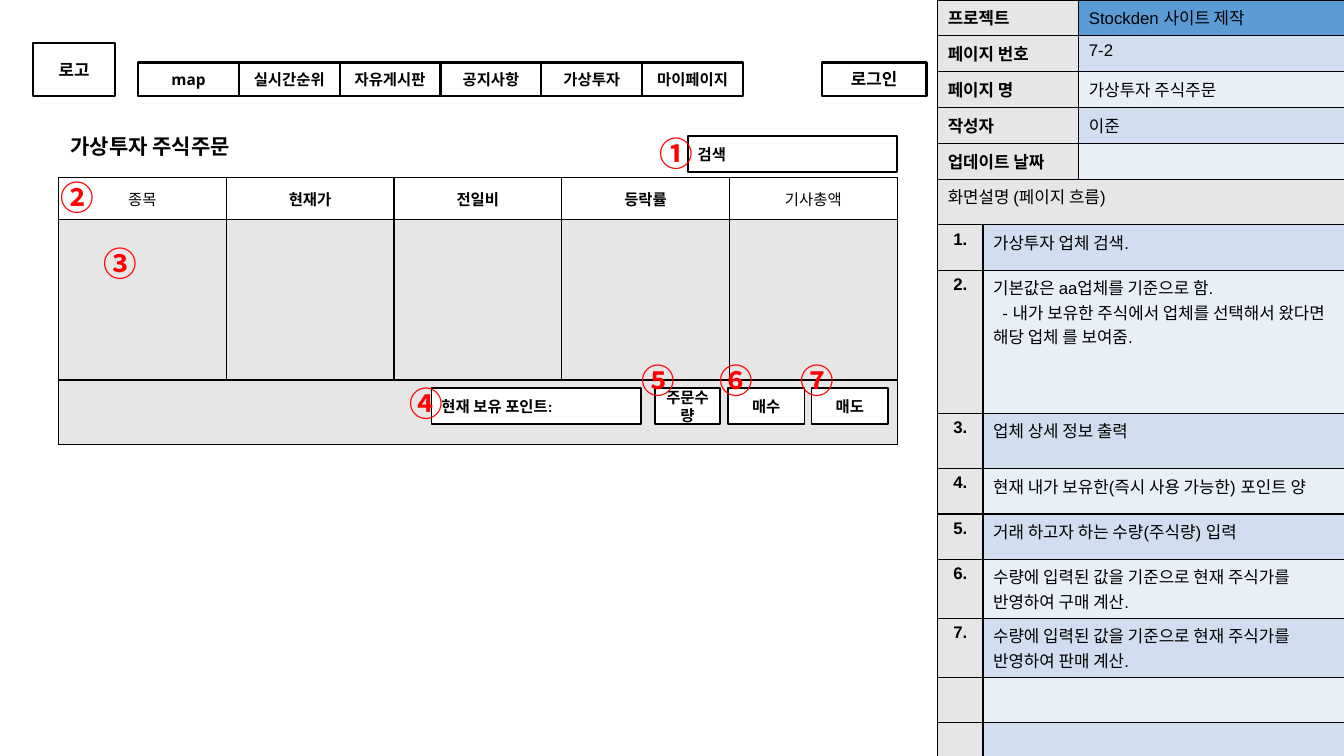
from lxml import etree
from pptx import Presentation
from pptx.dml import color
from pptx.enum import shapes, text
from pptx.oxml import ns
from pptx.util import Inches, Pt

BLACK = color.RGBColor(0x00, 0x00, 0x00)
WHITE = color.RGBColor(0xFF, 0xFF, 0xFF)
RED = color.RGBColor(0xFF, 0x00, 0x00)
GREY = color.RGBColor(0xE7, 0xE6, 0xE6)
BLUE = color.RGBColor(0x5B, 0x9B, 0xD5)
BAND_DARK = color.RGBColor(0xD0, 0xDE, 0xEF)
BAND_LIGHT = color.RGBColor(0xE9, 0xEF, 0xF7)
BANDS = [BAND_DARK, BAND_LIGHT]
KOREAN_FONT = "Noto Sans CJK KR"

PROJECT = [
    ("프로젝트", "Stockden 사이트 제작"),
    ("페이지 번호", "7-2"),
    ("페이지 명", "가상투자 주식주문"),
    ("작성자", "이준"),
    ("업데이트 날짜", ""),
]
NOTES = [
    ("가상투자 업체 검색.", 0.45),
    ("기본값은 aa업체를 기준으로 함.\n  - 내가 보유한 주식에서 업체를 선택해서 왔다면 해당 업체 를 보여줌.", 1.42),
    ("업체 상세 정보 출력", 0.55),
    ("현재 내가 보유한(즉시 사용 가능한) 포인트 양", 0.45),
    ("거래 하고자 하는 수량(주식량) 입력", 0.45),
    ("수량에 입력된 값을 기준으로 현재 주식가를 반영하여 구매 계산.", 0.58),
    ("수량에 입력된 값을 기준으로 현재 주식가를 반영하여 판매 계산.", 0.58),
    ("", 0.45),
    ("", 0.45),
]
MENU = ["map", "실시간순위", "자유게시판", "공지사항", "가상투자", "마이페이지"]
COLUMNS = [("종목", False), ("현재가", True), ("전일비", True), ("등락률", True), ("기사총액", False)]
ORDER_FIELDS = [
    ("현재 보유 포인트:", 3.7, 2.08, text.PP_ALIGN.LEFT),
    ("주문수량", 5.92, 0.64, text.PP_ALIGN.CENTER),
    ("매수", 6.64, 0.76, text.PP_ALIGN.CENTER),
    ("매도", 7.47, 0.76, text.PP_ALIGN.CENTER),
]
MARKERS = [
    ("①", 6.44, 1.27), ("②", 0.5, 1.71), ("③", 0.93, 2.36), ("④", 3.96, 3.75),
    ("⑤", 6.26, 3.52), ("⑥", 7.04, 3.52), ("⑦", 7.84, 3.52),
]


def write(frame, words, size, font, bold=True, align=text.PP_ALIGN.LEFT, tint=BLACK):
    frame.text = words
    frame.word_wrap = True
    for para in frame.paragraphs:
        para.alignment = align
        if not para.runs:
            para._p.get_or_add_endParaRPr().set("sz", str(size * 100))
        for span in para.runs:
            span.font.size = Pt(size)
            span.font.name = font
            span.font.bold = bold
            span.font.color.rgb = tint
            east = etree.SubElement(span._r.rPr, ns.qn("a:ea"))
            east.set("typeface", KOREAN_FONT)


def set_margins(frame, vertical):
    frame.margin_left = frame.margin_right = Inches(0.1)
    frame.margin_top = frame.margin_bottom = Inches(vertical)


def add_grid(page, left, top, widths, heights):
    frame = page.shapes.add_table(
        len(heights), len(widths), Inches(left), Inches(top),
        Inches(sum(widths)), Inches(sum(heights)))
    table = frame.table
    table.first_row = table.horz_banding = False
    for column, width in zip(table.columns, widths):
        column.width = Inches(width)
    for row, height in zip(table.rows, heights):
        row.height = Inches(height)
    return table


def fill_cell(cell, words, fill, size=12, bold=False, align=text.PP_ALIGN.LEFT):
    write(cell.text_frame, words, size, "Arial", bold, align)
    properties = cell._tc.get_or_add_tcPr()
    for side in ("lnL", "lnR", "lnT", "lnB"):
        border = etree.SubElement(properties, ns.qn("a:" + side), w=str(Pt(1)))
        paint = etree.SubElement(border, ns.qn("a:solidFill"))
        etree.SubElement(paint, ns.qn("a:srgbClr"), val=str(BLACK))
    cell.fill.solid()
    cell.fill.fore_color.rgb = fill


def add_field(page, words, left, top, width, height, size=11, font="Calibri",
              align=text.PP_ALIGN.CENTER, weight=1.25, fill=WHITE, inset=0.05):
    box = page.shapes.add_shape(
        shapes.MSO_SHAPE.RECTANGLE, Inches(left), Inches(top), Inches(width), Inches(height))
    box.shadow.inherit = False
    if fill is None:
        box.fill.background()
    else:
        box.fill.solid()
        box.fill.fore_color.rgb = fill
    box.line.color.rgb = BLACK
    box.line.width = Pt(weight)
    set_margins(box.text_frame, inset)
    box.text_frame.vertical_anchor = text.MSO_ANCHOR.MIDDLE
    write(box.text_frame, words, size, font, align=align)


def add_project_table(page, left, top, width, height):
    label_width = 1.4
    row_height = height / len(PROJECT)
    table = add_grid(page, left, top, [label_width, width - label_width], [row_height] * len(PROJECT))
    for index, (label, value) in enumerate(PROJECT):
        fill_cell(table.cell(index, 0), label, GREY, bold=True)
        fill_cell(table.cell(index, 1), value, BANDS[(index + 1) % 2] if index else BLUE)


def add_notes_table(page, left, top, width):
    number_width = 0.45
    heights = [0.45] + [height for _, height in NOTES]
    table = add_grid(page, left, top, [number_width, width - number_width], heights)
    table.cell(0, 0).merge(table.cell(0, 1))
    fill_cell(table.cell(0, 0), "화면설명 (페이지 흐름)", GREY)
    fill_cell(table.cell(0, 1), "", GREY)
    for index, (note, _) in enumerate(NOTES):
        number = f"{index + 1}." if note else ""
        fill_cell(table.cell(index + 1, 0), number, GREY, bold=True, align=text.PP_ALIGN.CENTER)
        fill_cell(table.cell(index + 1, 1), note, BANDS[index % 2])


def add_title(page, left, top, width, height):
    title = page.shapes.title
    title.left, title.top = Inches(left), Inches(top)
    title.width, title.height = Inches(width), Inches(height)
    set_margins(title.text_frame, 0.1)
    title.text_frame.vertical_anchor = text.MSO_ANCHOR.MIDDLE
    write(title.text_frame, "가상투자 주식주문", 15, "Open Sans")
    title.text_frame.auto_size = text.MSO_AUTO_SIZE.NONE


def add_order_panel(page, left, top, width):
    column_width = width / len(COLUMNS)
    table = add_grid(page, left, top, [column_width] * len(COLUMNS), [0.42, 1.59, 0.64])
    for index, (heading, bold) in enumerate(COLUMNS):
        header = table.cell(0, index)
        fill_cell(header, heading, WHITE, 11, bold, text.PP_ALIGN.CENTER)
        header.vertical_anchor = text.MSO_ANCHOR.MIDDLE
        for row in (1, 2):
            fill_cell(table.cell(row, index), "", GREY)
    table.cell(2, 0).merge(table.cell(2, len(COLUMNS) - 1))
    for words, offset, field_width, align in ORDER_FIELDS:
        add_field(page, words, left + offset, top + 2.09, field_width, 0.36, align=align)


def add_navigation(page, left, top):
    outline = {"font": "Open Sans", "weight": 1.5, "fill": None, "inset": 0.1}
    add_field(page, "로고", left, top, 0.81, 0.52, size=12, **outline)
    add_field(page, "로그인", left + 7.82, top + 0.19, 1.04, 0.33, size=12, **outline)
    for index, item in enumerate(MENU):
        add_field(page, item, left + 1.04 + index * 1.0, top + 0.19, 1.0, 0.33, **outline)


def add_markers(page):
    for symbol, left, top in MARKERS:
        box = page.shapes.add_textbox(Inches(left), Inches(top), Inches(0.6), Inches(0.5))
        set_margins(box.text_frame, 0.05)
        write(box.text_frame, symbol, 24, KOREAN_FONT, tint=RED)


def main():
    deck = Presentation()
    deck.slide_width, deck.slide_height = Inches(13.33), Inches(7.5)
    page = deck.slides.add_slide(deck.slide_layouts[5])
    add_project_table(page, 9.3, 0, 4.04, 1.78)
    add_notes_table(page, 9.3, 1.78, 4.04)
    add_title(page, 0.6, 1.26, 2.41, 0.37)
    add_field(page, "검색", 6.82, 1.35, 2.08, 0.36, align=text.PP_ALIGN.LEFT)
    add_order_panel(page, 0.58, 1.76, 8.32)
    add_markers(page)
    add_navigation(page, 0.33, 0.43)
    deck.save("out.pptx")


if __name__ == "__main__":
    main()
